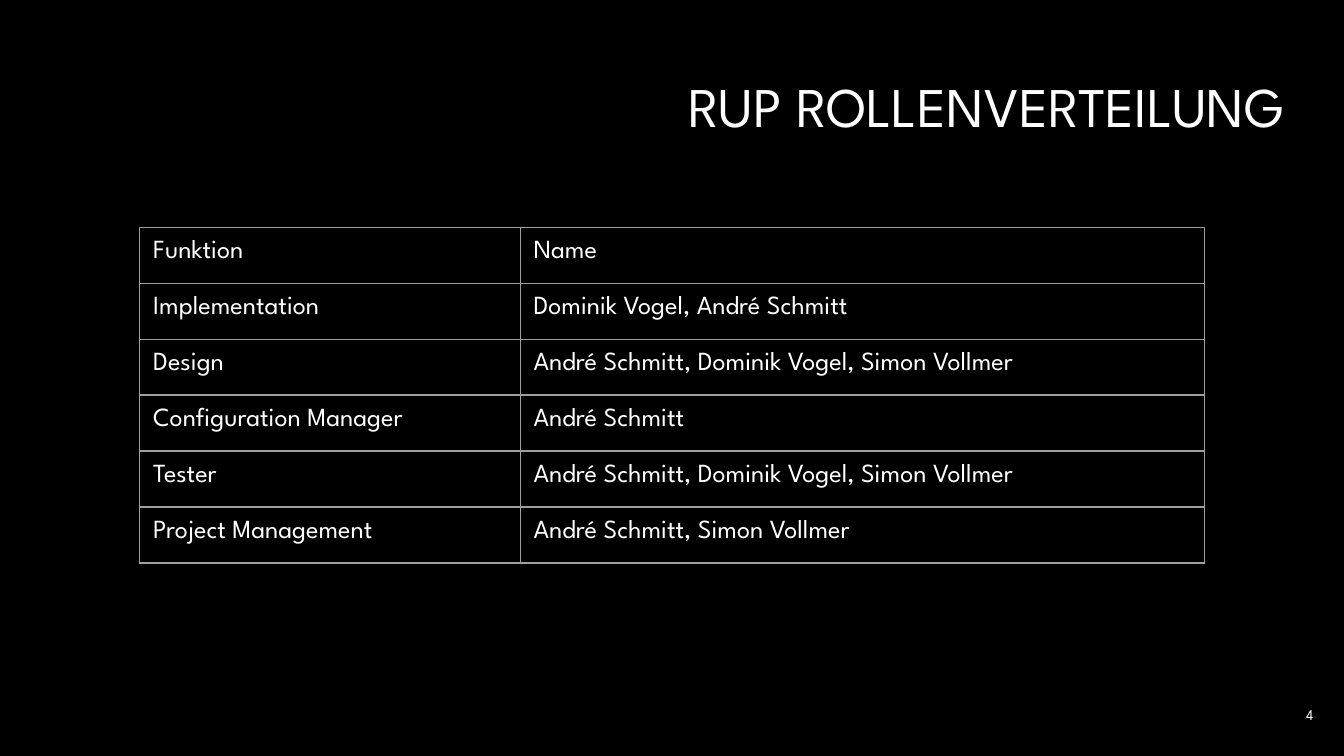
from dataclasses import dataclass

from lxml import etree
from pptx import Presentation
from pptx.dml.color import RGBColor
from pptx.enum.text import MSO_ANCHOR, MSO_AUTO_SIZE, PP_ALIGN
from pptx.oxml.ns import qn
from pptx.util import Inches, Pt

RIGHT = PP_ALIGN.RIGHT
TOP = MSO_ANCHOR.TOP
MIDDLE = MSO_ANCHOR.MIDDLE
NO_AUTOFIT = MSO_AUTO_SIZE.NONE

FONT = "League Spartan"
COLORS = {"background": "000000", "text": "FFFFFF", "border": "9E9E9E"}
SLIDE_WIDTH = 10
INSET = Inches(0.1)
BORDER_WIDTH = Pt(0.75)
COLUMN_WIDTHS = (2.83, 5.09)
TABLE_HEIGHT = 2.5
TITLE_ONLY_LAYOUT = 5


@dataclass(frozen=True)
class Role:
    function: str
    names: str


ROLES = (
    Role("Funktion", "Name"),
    Role("Implementation", "Dominik Vogel, André Schmitt"),
    Role("Design", "André Schmitt, Dominik Vogel, Simon Vollmer"),
    Role("Configuration Manager", "André Schmitt"),
    Role("Tester", "André Schmitt, Dominik Vogel, Simon Vollmer"),
    Role("Project Management", "André Schmitt, Simon Vollmer"),
)


def set_insets(holder) -> None:
    holder.margin_left = holder.margin_right = INSET
    holder.margin_top = holder.margin_bottom = INSET


def add_text(paragraph, text: str, size: float) -> None:
    run = paragraph.add_run()
    run.text = text
    run.font.name = FONT
    run.font.size = Pt(size)
    run.font.bold = False
    run.font.color.rgb = RGBColor.from_string(COLORS["text"])


def fill_frame(shape, text: str, size: float, anchor: MSO_ANCHOR) -> None:
    frame = shape.text_frame
    frame.word_wrap = True
    frame.auto_size = NO_AUTOFIT
    frame.vertical_anchor = anchor
    set_insets(frame)
    paragraph = frame.paragraphs[0]
    paragraph.alignment = RIGHT
    add_text(paragraph, text, size)


def add_borders(cell) -> None:
    properties = cell._tc.get_or_add_tcPr()
    for position, side in enumerate(("lnL", "lnR", "lnT", "lnB")):
        line = etree.Element(qn(f"a:{side}"), w=str(BORDER_WIDTH))
        solid = etree.SubElement(line, qn("a:solidFill"))
        etree.SubElement(solid, qn("a:srgbClr"), val=COLORS["border"])
        properties.insert(position, line)


def fill_cell(cell, text: str) -> None:
    cell.fill.background()
    cell.vertical_anchor = TOP
    set_insets(cell)
    add_text(cell.text_frame.paragraphs[0], text, 14)
    add_borders(cell)


def add_roles(slide, roles: tuple[Role, ...]) -> None:
    table = slide.shapes.add_table(
        len(roles), len(COLUMN_WIDTHS), Inches(1.04), Inches(1.69),
        Inches(sum(COLUMN_WIDTHS)), Inches(TABLE_HEIGHT),
    ).table
    table.first_row = False
    table.horz_banding = False
    for column, width in zip(table.columns, COLUMN_WIDTHS):
        column.width = Inches(width)
    for row, role in zip(table.rows, roles):
        row.height = Inches(TABLE_HEIGHT / len(roles))
        for cell, text in zip(row.cells, (role.function, role.names)):
            fill_cell(cell, text)


def main() -> None:
    presentation = Presentation()
    presentation.slide_width = Inches(SLIDE_WIDTH)
    presentation.slide_height = Inches(SLIDE_WIDTH * 9 / 16)
    slide = presentation.slides.add_slide(
        presentation.slide_layouts[TITLE_ONLY_LAYOUT]
    )
    background = slide.background.fill
    background.solid()
    background.fore_color.rgb = RGBColor.from_string(COLORS["background"])

    title = slide.shapes.title
    title.left, title.top = Inches(0.34), Inches(0.49)
    title.width, title.height = Inches(9.32), Inches(0.63)
    fill_frame(title, "RUP ROLLENVERTEILUNG", 30, TOP)
    title.text_frame.paragraphs[0].line_spacing = 0.9

    add_roles(slide, ROLES)

    page_number = slide.shapes.add_textbox(
        Inches(9.27), Inches(5.1), Inches(0.6), Inches(0.43)
    )
    fill_frame(page_number, "4", 7.9, MIDDLE)

    presentation.save("out.pptx")


if __name__ == "__main__":
    main()
